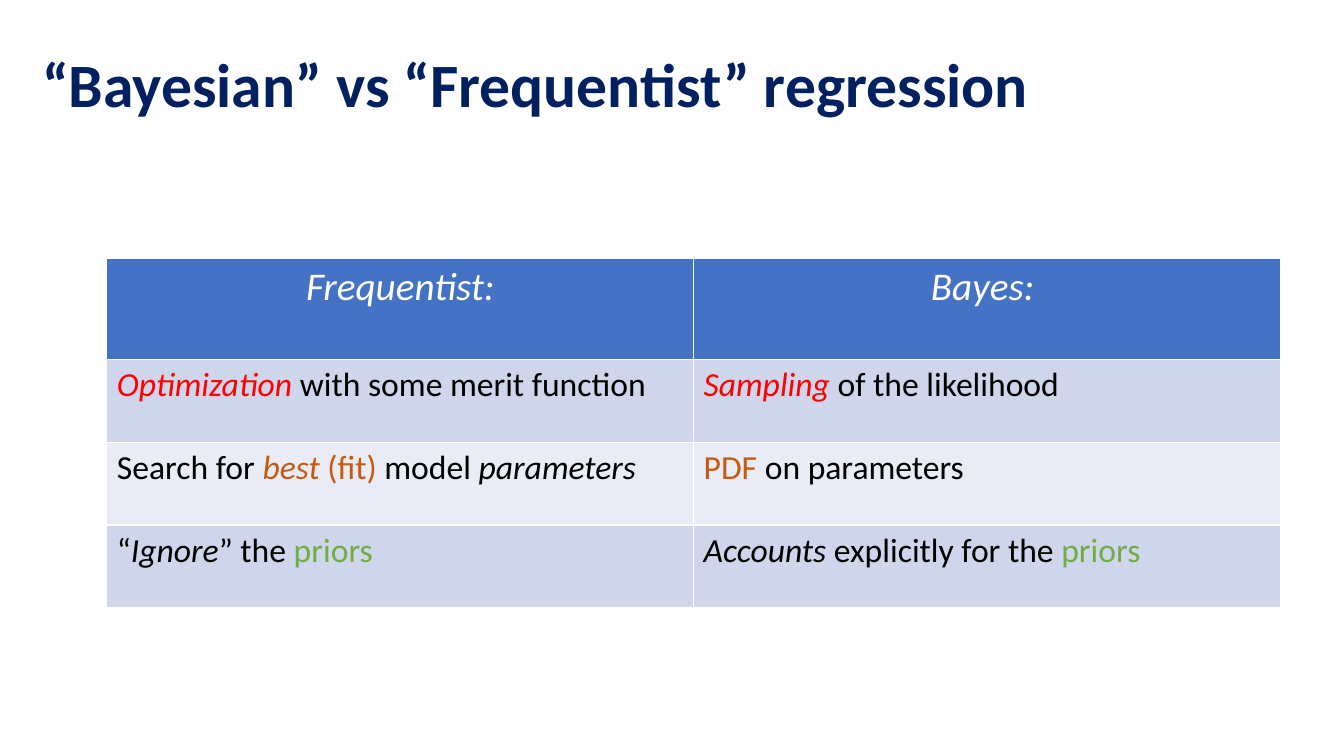
from lxml import etree
from pptx import Presentation
from pptx.dml.color import RGBColor
from pptx.enum.text import MSO_ANCHOR, PP_ALIGN
from pptx.oxml.ns import qn
from pptx.util import Inches, Pt

MIDDLE = MSO_ANCHOR.MIDDLE
LEFT, CENTER = PP_ALIGN.LEFT, PP_ALIGN.CENTER
COLORS = {
    "navy": "002060", "blue": "4472C4", "white": "FFFFFF", "black": "000000",
    "red": "FF0000", "orange": "C55A11", "green": "70AD47",
    "band": "CFD5EA", "light band": "E9EBF5",
}


class SlideBuilder:
    """Holds the font and the current slide, and adds styled elements to it."""

    def __init__(self, slide, font="Calibri"):
        self.slide = slide
        self.font = font

    def style(self, paragraph, size, bold=False):
        paragraph.font.name = self.font
        paragraph.font.size = Pt(size)
        paragraph.font.bold = bold

    def title(self, text, left, top, width, height):
        box = self.slide.shapes.add_textbox(
            Inches(left), Inches(top), Inches(width), Inches(height))
        frame = box.text_frame
        frame.word_wrap = True
        frame.vertical_anchor = MIDDLE
        paragraph = frame.paragraphs[0]
        paragraph.text = text
        paragraph.line_spacing = 0.9
        self.style(paragraph, 44, bold=True)
        paragraph.font.color.rgb = RGBColor.from_string(COLORS["navy"])

    def borders(self, cell):
        properties = cell._tc.get_or_add_tcPr()
        for position, side in enumerate(("lnL", "lnR", "lnT", "lnB")):
            line = etree.Element(qn(f"a:{side}"), w=str(Pt(1)))
            fill = etree.SubElement(line, qn("a:solidFill"))
            etree.SubElement(fill, qn("a:srgbClr"), val=COLORS["white"])
            properties.insert(position, line)

    def cell(self, cell, pieces, size, fill, align):
        cell.fill.solid()
        cell.fill.fore_color.rgb = RGBColor.from_string(COLORS[fill])
        self.borders(cell)
        paragraph = cell.text_frame.paragraphs[0]
        paragraph.alignment = align
        self.style(paragraph, size)
        for text, color, italic in pieces:
            run = paragraph.add_run()
            run.text = text
            run.font.color.rgb = RGBColor.from_string(COLORS[color])
            run.font.italic = italic

    def table(self, rows, left, top, column_width, heights):
        columns = len(rows[0])
        table = self.slide.shapes.add_table(
            len(rows), columns, Inches(left), Inches(top),
            Inches(column_width * columns), Inches(sum(heights))).table
        for column in table.columns:
            column.width = Inches(column_width)
        for index, (row, height) in enumerate(zip(rows, heights)):
            table.rows[index].height = Inches(height)
            if index == 0:
                size, fill, align = 28, "blue", CENTER
            else:
                size, align = 24, LEFT
                fill = "band" if index % 2 else "light band"
            for column, pieces in enumerate(row):
                self.cell(table.cell(index, column), pieces, size, fill, align)


COMPARISON = [
    [[("Frequentist:", "white", True)],
     [("Bayes: ", "white", True)]],
    [[("Optimization", "red", True),
      (" with some merit function ", "black", False)],
     [("Sampling", "red", True), (" of the likelihood", "black", False)]],
    [[("Search for ", "black", False), ("best", "orange", True),
      (" (fit) ", "orange", False), ("model ", "black", False),
      ("parameters", "black", True)],
     [("PDF", "orange", False), (" on parameters", "black", False)]],
    [[("“", "black", False), ("Ignore", "black", True),
      ("” the ", "black", False), ("priors", "green", False)],
     [("Accounts", "black", True), (" explicitly for the ", "black", False),
      ("priors", "green", False)]],
]

deck = Presentation()
deck.slide_width = Inches(13.33)
deck.slide_height = Inches(7.5)
builder = SlideBuilder(deck.slides.add_slide(deck.slide_layouts[6]))
builder.title("“Bayesian” vs “Frequentist” regression", 0.32, 0.14, 11.52, 1.45)
builder.table(COMPARISON, 1.06, 2.56, 5.82, [1.01] + [0.82] * 3)
deck.save("out.pptx")
